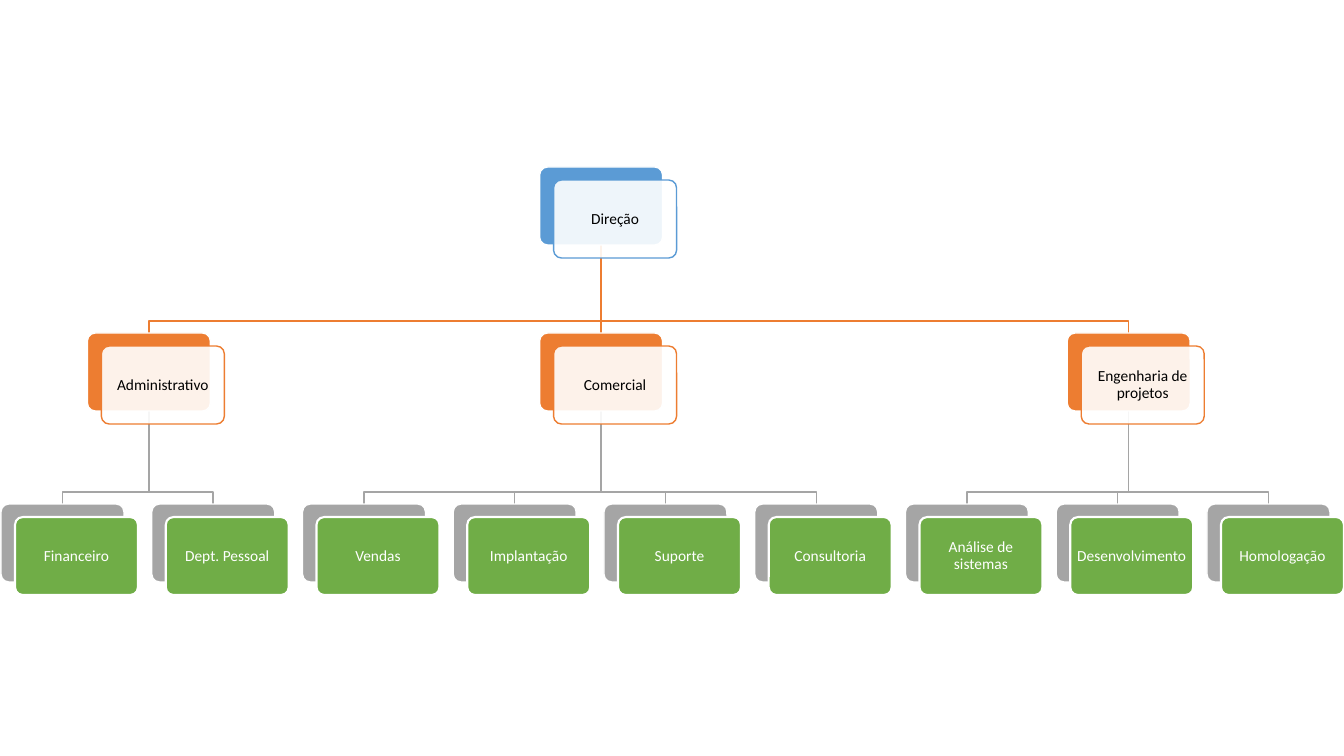
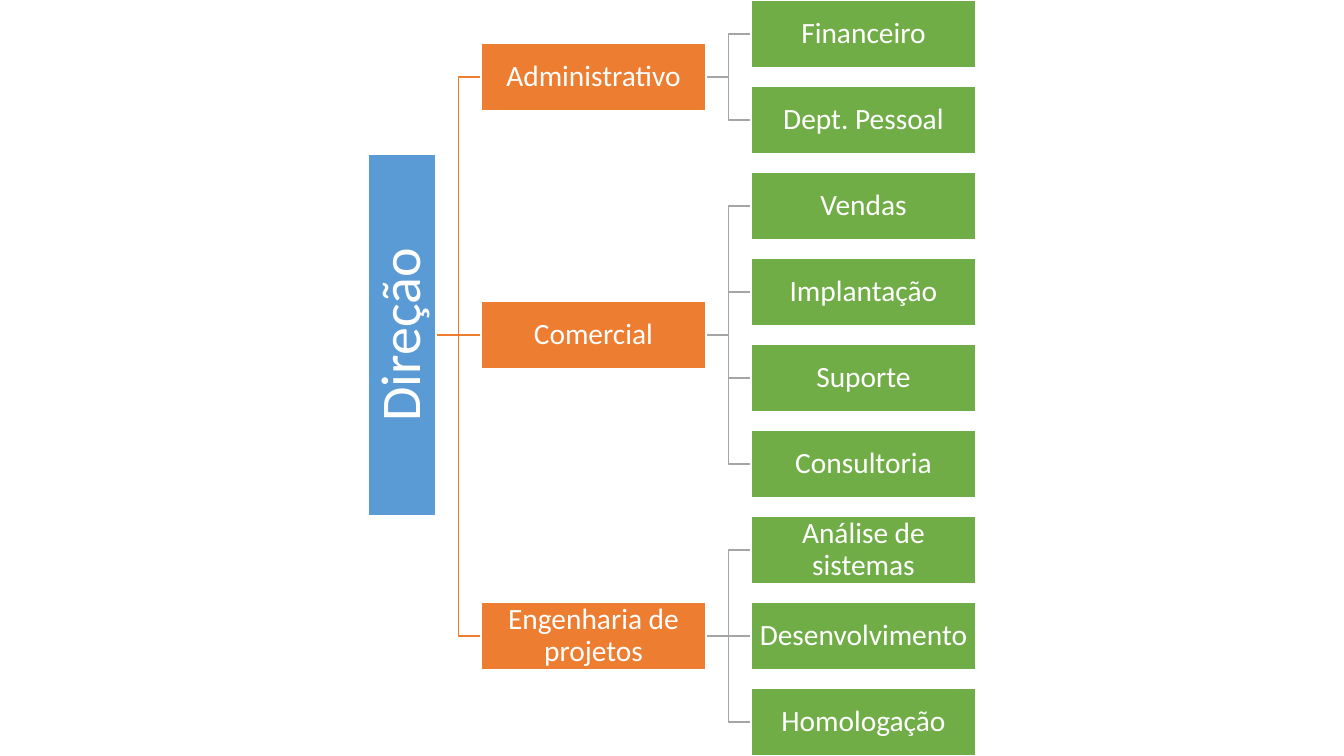
from dataclasses import dataclass

from lxml.etree import SubElement
from pptx import Presentation
from pptx.dml.color import RGBColor
from pptx.enum.shapes import MSO_CONNECTOR, MSO_SHAPE
from pptx.enum.text import MSO_ANCHOR, PP_ALIGN
from pptx.oxml.ns import qn
from pptx.util import Emu, Pt

DIRECTION = "Direção"
BRANCHES = {
    "Administrativo": ["Financeiro", "Dept. Pessoal"],
    "Comercial": ["Vendas", "Implantação", "Suporte", "Consultoria"],
    "Engenharia de projetos": ["Análise de sistemas", "Desenvolvimento", "Homologação"],
}
MIDDLE_BRANCH = "Comercial"
LEAF_COUNT = sum(len(leaves) for leaves in BRANCHES.values())


@dataclass(frozen=True)
class Theme:
    """Colours, font, type sizes and line widths of both charts."""
    font: str = "Calibri"
    white: str = "FFFFFF"
    black: str = "000000"
    root: str = "5B9BD5"
    branch: str = "ED7D31"
    leaf: str = "70AD47"
    leaf_back: str = "A5A5A5"
    card_size: int = 11
    bar_size: int = 21
    root_size: int = 40
    thin: float = 1
    thick: float = 1.5
    line_spacing: float = 0.9
    veil_opacity: int = 90


THEME = Theme()
PIXEL = 914400 / 100.8
SLIDE_WIDTH, SLIDE_HEIGHT = 1344, 756

# Card chart, from top to bottom
CARD_WIDTH, CARD_HEIGHT = 123, 78
CARD_SHIFT_X, CARD_SHIFT_Y = 14, 13
ROOT_TOP, BRANCH_TOP, LEAF_TOP = 167, 333, 504
FIRST_CARD_LEFT, LAST_CARD_LEFT = 1, 1207
BRANCH_SHIFT = 11
BEND_RISE = 12
CARD_MARGIN = 4
CARD_CORNER = 0.1

# Bar chart, from left to right
BAR_WIDTH, BAR_HEIGHT = 225, 68
ROOT_LENGTH, ROOT_CENTER_X = 362, 402
BRANCH_LEFT, LEAF_LEFT = 481, 751
BAR_MARGIN, ROOT_MARGIN = 1, 3


def emu(pixels):
    """Turn pixels into EMU."""
    return Emu(round(pixels * PIXEL))


def rgb(colour):
    """Turn a hex string into a colour."""
    return RGBColor.from_string(colour)


def write_text(shape, text, *, size, colour, margin):
    """Write one centred paragraph in a shape."""
    frame = shape.text_frame
    frame.word_wrap = True
    frame.vertical_anchor = MSO_ANCHOR.MIDDLE
    frame.margin_left = frame.margin_right = emu(margin)
    frame.margin_top = frame.margin_bottom = emu(margin)
    para = frame.paragraphs[0]
    para.alignment = PP_ALIGN.CENTER
    para.line_spacing = THEME.line_spacing
    span = para.add_run()
    span.text = text
    span.font.name = THEME.font
    span.font.size = Pt(size)
    span.font.color.rgb = rgb(colour)


def add_box(slide, preset, left, top, width, height, *, fill,
            outline=THEME.white, weight=THEME.thin):
    """Add a filled and outlined box without shadow."""
    box = slide.shapes.add_shape(preset, *map(emu, (left, top, width, height)))
    box.shadow.inherit = False
    box.fill.solid()
    box.fill.fore_color.rgb = rgb(fill)
    box.line.color.rgb = rgb(outline)
    box.line.width = Pt(weight)
    return box


def add_link(slide, points, colour):
    """Join points with a bent line, or a straight one if they are aligned."""
    places = [(emu(x), emu(y)) for x, y in points]
    if any(len(set(values)) == 1 for values in zip(*places)):
        link = slide.shapes.add_connector(MSO_CONNECTOR.STRAIGHT, *places[0], *places[-1])
    else:
        builder = slide.shapes.build_freeform(*places[0], scale=1.0)
        builder.add_line_segments(places[1:], close=False)
        link = builder.convert_to_shape()
        link.fill.background()
    link.line.color.rgb = rgb(colour)
    link.line.width = Pt(THEME.thin)
    SubElement(link.element.spPr, qn("a:effectLst"))


def place_branches(first, pitch, shift=0):
    """Give each branch its centre and its leaves with their centres."""
    places, index = {}, 0
    for branch, names in BRANCHES.items():
        leaves = [(name, first + (index + step) * pitch) for step, name in enumerate(names)]
        places[branch] = ((leaves[0][1] + leaves[-1][1]) / 2 + shift, leaves)
        index += len(names)
    return places


def add_card(slide, text, center, top, colour, *, is_leaf=False):
    """Add a back card and the shifted front card that holds the text."""
    left = center - CARD_WIDTH / 2
    back = add_box(slide, MSO_SHAPE.ROUNDED_RECTANGLE, left, top, CARD_WIDTH, CARD_HEIGHT,
                   fill=THEME.leaf_back if is_leaf else colour)
    front = add_box(slide, MSO_SHAPE.ROUNDED_RECTANGLE, left + CARD_SHIFT_X, top + CARD_SHIFT_Y,
                    CARD_WIDTH, CARD_HEIGHT,
                    fill=colour if is_leaf else THEME.white,
                    outline=THEME.white if is_leaf else colour,
                    weight=THEME.thick if is_leaf else THEME.thin)
    for card in (back, front):
        card.adjustments[0] = CARD_CORNER
    if not is_leaf:
        tint = front.element.spPr.find(qn("a:solidFill")).find(qn("a:srgbClr"))
        SubElement(tint, qn("a:alpha"), val=str(THEME.veil_opacity * 1000))
    write_text(front, text, size=THEME.card_size, margin=CARD_MARGIN,
               colour=THEME.white if is_leaf else THEME.black)


def add_drop(slide, parent, parent_top, child, child_top, colour):
    """Link a parent card down to a child card."""
    bend = child_top - BEND_RISE
    add_link(slide, [(parent, parent_top + CARD_HEIGHT), (parent, bend),
                     (child, bend), (child, child_top)], colour)


def build_card_chart(slide):
    """Draw the chart of cards, from top to bottom."""
    pitch = (LAST_CARD_LEFT - FIRST_CARD_LEFT) / (LEAF_COUNT - 1)
    branches = place_branches(FIRST_CARD_LEFT + CARD_WIDTH / 2, pitch, BRANCH_SHIFT)
    root = branches[MIDDLE_BRANCH][0]
    for center, leaves in branches.values():
        for _, leaf in leaves:
            add_drop(slide, center, BRANCH_TOP, leaf, LEAF_TOP, THEME.leaf_back)
        add_drop(slide, root, ROOT_TOP, center, BRANCH_TOP, THEME.branch)
    add_card(slide, DIRECTION, root, ROOT_TOP, THEME.root)
    for branch, (center, leaves) in branches.items():
        add_card(slide, branch, center, BRANCH_TOP, THEME.branch)
        for name, leaf in leaves:
            add_card(slide, name, leaf, LEAF_TOP, THEME.leaf, is_leaf=True)


def add_bar(slide, text, left, center, colour, weight=THEME.thin):
    """Add a bar with its text."""
    bar = add_box(slide, MSO_SHAPE.RECTANGLE, left, center - BAR_HEIGHT / 2,
                  BAR_WIDTH, BAR_HEIGHT, fill=colour, weight=weight)
    write_text(bar, text, size=THEME.bar_size, colour=THEME.white, margin=BAR_MARGIN)


def add_reach(slide, start, parent, end, child, colour):
    """Link a parent bar rightwards to a child bar."""
    bend = (start + end) / 2
    add_link(slide, [(start, parent), (bend, parent), (bend, child), (end, child)], colour)


def build_bar_chart(slide):
    """Draw the chart of bars, from left to right."""
    pitch = (SLIDE_HEIGHT - BAR_HEIGHT) / (LEAF_COUNT - 1)
    branches = place_branches(BAR_HEIGHT / 2, pitch)
    root = branches[MIDDLE_BRANCH][0]
    for center, leaves in branches.values():
        for _, leaf in leaves:
            add_reach(slide, BRANCH_LEFT + BAR_WIDTH, center, LEAF_LEFT, leaf, THEME.leaf_back)
        add_reach(slide, ROOT_CENTER_X + BAR_HEIGHT / 2, root, BRANCH_LEFT, center, THEME.branch)
    root_bar = add_box(slide, MSO_SHAPE.RECTANGLE, ROOT_CENTER_X - ROOT_LENGTH / 2,
                       root - BAR_HEIGHT / 2, ROOT_LENGTH, BAR_HEIGHT, fill=THEME.root)
    root_bar.rotation = 270
    write_text(root_bar, DIRECTION, size=THEME.root_size, colour=THEME.white, margin=ROOT_MARGIN)
    for branch, (center, leaves) in branches.items():
        add_bar(slide, branch, BRANCH_LEFT, center, THEME.branch)
        for name, leaf in leaves:
            add_bar(slide, name, LEAF_LEFT, leaf, THEME.leaf, THEME.thick)


def main():
    """Build the deck and save it."""
    deck = Presentation()
    deck.slide_width, deck.slide_height = emu(SLIDE_WIDTH), emu(SLIDE_HEIGHT)
    blank = deck.slide_layouts.get_by_name("Blank")
    for build in (build_card_chart, build_bar_chart):
        build(deck.slides.add_slide(blank))
    deck.save("out.pptx")


main()
